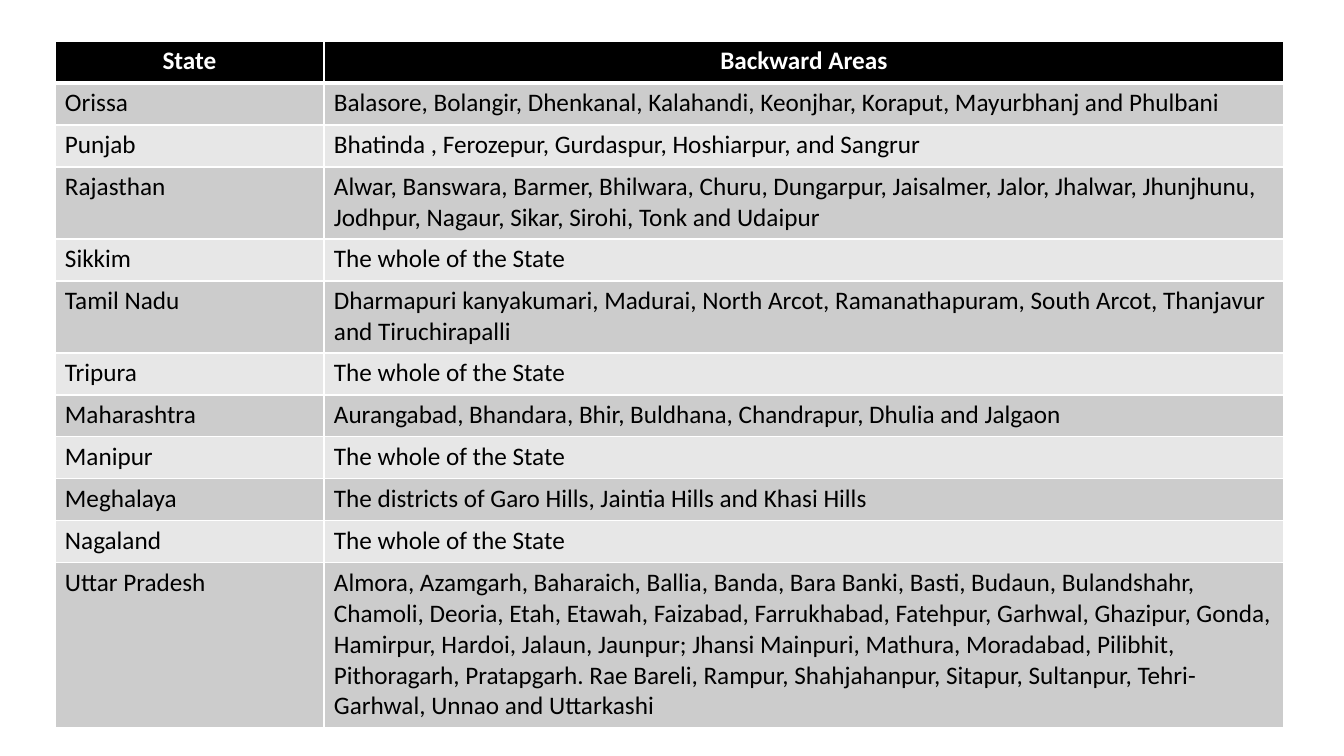
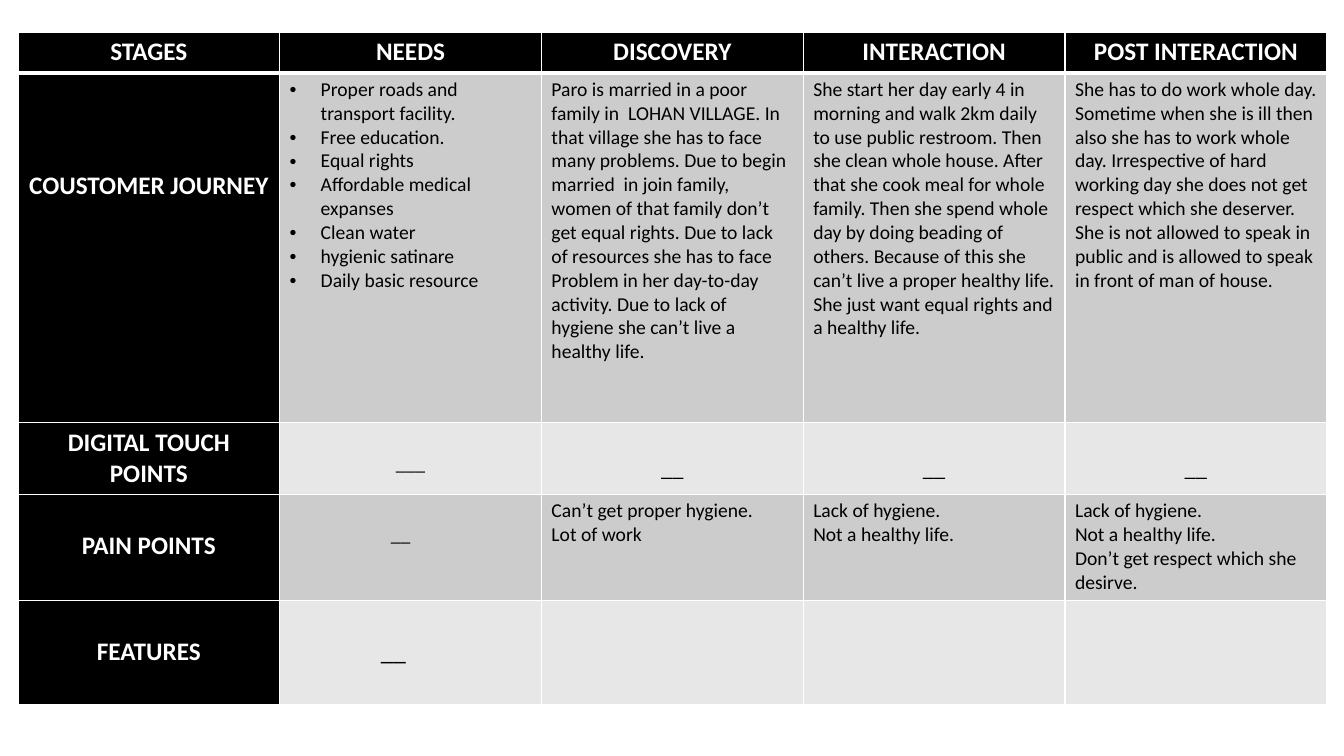
import pptx
import pptx.dml.color
import pptx.enum.text
import pptx.oxml.ns
import pptx.util
from lxml import etree

FONT = "Calibri"
COLORS = {"head": "000000", "odd": "CCCCCC", "even": "E7E7E7",
          "line": "FFFFFF", "light": "FFFFFF", "dark": "000000"}
EMU_PER_PX = 914400 / 100.8
ALIGN = pptx.enum.text.PP_ALIGN


def px(n):
    return pptx.util.Emu(round(n * EMU_PER_PX))


def rgb(name):
    return pptx.dml.color.RGBColor.from_string(COLORS[name])


def sub(parent, tag, **attrs):
    el = etree.SubElement(parent, pptx.oxml.ns.qn(tag))
    for key, value in attrs.items():
        el.set(key, str(value))
    return el


def put_text(cell, text, size=18, color="dark", bold=False, align=ALIGN.LEFT,
             top=5, left=10, bullet=False):
    """Write each line of text as one paragraph of the cell."""
    cell.margin_top, cell.margin_left = px(top), px(left)
    tf = cell.text_frame
    for i, line in enumerate(text.split("\n")):
        p = tf.paragraphs[0] if i == 0 else tf.add_paragraph()
        p.alignment = align
        if bullet:
            pPr = p._p.get_or_add_pPr()
            pPr.set("marL", str(px(31)))
            pPr.set("indent", str(-px(31)))
            sub(pPr, "a:buFont", typeface="Arial")
            sub(pPr, "a:buChar", char="•")
        r = p.add_run()
        r.text = line
        r.font.name, r.font.size, r.font.bold = FONT, pptx.util.Pt(size), bold
        r.font.color.rgb = rgb(color)


def put_head(cell, text, **fmt):
    put_text(cell, text, color="light", bold=True, align=ALIGN.CENTER, **fmt)


def style_cell(cell, fill, top=1, bottom=1):
    tcPr = cell._tc.get_or_add_tcPr()
    for side, width in (("L", 1), ("R", 1), ("T", top), ("B", bottom)):
        ln = sub(tcPr, "a:ln" + side, w=pptx.util.Pt(width))
        sub(sub(ln, "a:solidFill"), "a:srgbClr", val=COLORS["line"])
    cell.fill.solid()
    cell.fill.fore_color.rgb = rgb(fill)


def add_grid(s, x, y, cols, rows, heads, head_col=False):
    """Draw the banded table with its header row; return the table."""
    tbl = s.shapes.add_table(len(rows), len(cols), px(x), px(y),
                             px(sum(cols)), px(sum(rows))).table
    tbl.first_row = tbl.horz_banding = False
    for c, width in enumerate(cols):
        tbl.columns[c].width = px(width)
    for r, height in enumerate(rows):
        tbl.rows[r].height = px(height)
        for c in range(len(cols)):
            is_head = r == 0 or (head_col and c == 0)
            fill = "head" if is_head else "odd" if r % 2 else "even"
            style_cell(tbl.cell(r, c), fill, top=3 if r == 1 else 1,
                       bottom=3 if r == 0 else 1)
    for c, head in enumerate(heads):
        put_head(tbl.cell(0, c), head)
    return tbl


# Backward areas by state: state, districts, lines of text
WHOLE = "The whole of the State"
AREAS = [
    ("Orissa", "Balasore, Bolangir, Dhenkanal, Kalahandi, Keonjhar, Koraput, "
     "Mayurbhanj and Phulbani", 1),
    ("Punjab", "Bhatinda , Ferozepur, Gurdaspur, Hoshiarpur, and Sangrur", 1),
    ("Rajasthan", "Alwar, Banswara, Barmer, Bhilwara, Churu, Dungarpur, "
     "Jaisalmer, Jalor, Jhalwar, Jhunjhunu, Jodhpur, Nagaur, Sikar, Sirohi, "
     "Tonk and Udaipur", 2),
    ("Sikkim", WHOLE, 1),
    ("Tamil Nadu", "Dharmapuri kanyakumari, Madurai, North Arcot, "
     "Ramanathapuram, South Arcot, Thanjavur and Tiruchirapalli", 2),
    ("Tripura", WHOLE, 1),
    ("Maharashtra", "Aurangabad, Bhandara, Bhir, Buldhana, Chandrapur, "
     "Dhulia and Jalgaon", 1),
    ("Manipur", WHOLE, 1),
    ("Meghalaya", "The districts of Garo Hills, Jaintia Hills and Khasi Hills", 1),
    ("Nagaland", WHOLE, 1),
    ("Uttar Pradesh", "Almora, Azamgarh, Baharaich, Ballia, Banda, Bara Banki, "
     "Basti, Budaun, Bulandshahr, Chamoli, Deoria, Etah, Etawah, Faizabad, "
     "Farrukhabad, Fatehpur, Garhwal, Ghazipur, Gonda, Hamirpur, Hardoi, "
     "Jalaun, Jaunpur; Jhansi Mainpuri, Mathura, Moradabad, Pilibhit, "
     "Pithoragarh, Pratapgarh. Rae Bareli, Rampur, Shahjahanpur, Sitapur, "
     "Sultanpur, Tehri-Garhwal, Unnao and Uttarkashi", 5),
]

# Customer journey: (row head, top margin), then (text, format) per stage
STAGES = ["STAGES", "NEEDS", "DISCOVERY", "INTERACTION", "POST INTERACTION"]
BODY = {"size": 14}
DASH = ("__", {"size": 16, "top": 32, "align": ALIGN.CENTER})
JOURNEY = [
    (("COUSTOMER JOURNEY", 98), [
        ("Proper roads and transport facility.\nFree education.\nEqual rights\n"
         "Affordable medical expanses\nClean water\nhygienic satinare\n"
         "Daily basic resource", {"size": 14, "bullet": True}),
        ("Paro is married in a poor family in  LOHAN VILLAGE. In that village "
         "she has to face many problems. Due to begin married  in join family, "
         "women of that family don’t get equal rights. Due to lack of "
         "resources she has to face\nProblem in her day-to-day activity. Due "
         "to lack of hygiene she can’t live a healthy life.", BODY),
        ("She start her day early 4 in morning and walk 2km daily to use public "
         "restroom. Then she clean whole house. After that she cook meal for "
         "whole family. Then she spend whole day by doing beading of others. "
         "Because of this she can’t live a proper healthy life.\nShe just want "
         "equal rights and a healthy life.", BODY),
        ("She has to do work whole day. Sometime when she is ill then also she "
         "has to work whole day. Irrespective of hard working day she does not "
         "get respect which she deserver. She is not allowed to speak in public "
         "and is allowed to speak in front of man of house.", BODY)]),
    (("DIGITAL TOUCH POINTS", 5), [
        ("___", {"size": 14, "top": 29, "align": ALIGN.CENTER}),
        DASH, DASH, DASH]),
    (("PAIN POINTS", 36), [
        ("__", {"size": 14, "top": 29, "left": 111}),
        ("Can’t get proper hygiene.\nLot of work", BODY),
        ("Lack of hygiene.\nNot a healthy life.", BODY),
        ("Lack of hygiene.\nNot a healthy life.\n"
         "Don’t get respect which she desirve.", BODY)]),
    (("FEATURES", 36), [("__", {"top": 36, "left": 101})]),
]


def areas_slide(s, x, y):
    heights = {1: 42, 2: 72, 5: 165}
    rows = [42] + [heights[lines] for _, _, lines in AREAS]
    tbl = add_grid(s, x, y, [269, 960], rows, ["State", "Backward Areas"])
    for r, (state, districts, _) in enumerate(AREAS, 1):
        put_text(tbl.cell(r, 0), state)
        put_text(tbl.cell(r, 1), districts)


def journey_slide(s, x, y, w):
    cols = [w / len(STAGES)] * len(STAGES)
    tbl = add_grid(s, x, y, cols, [40, 350, 71, 106, 104], STAGES, head_col=True)
    for r, ((head, top), cells) in enumerate(JOURNEY, 1):
        put_head(tbl.cell(r, 0), head, top=top)
        for c, (text, fmt) in enumerate(cells, 1):
            put_text(tbl.cell(r, c), text, **fmt)


def main():
    prs = pptx.Presentation()
    prs.slide_width, prs.slide_height = px(1344), px(756)
    blank = prs.slide_layouts[6]
    areas_slide(prs.slides.add_slide(blank), 55, 41)
    journey_slide(prs.slides.add_slide(blank), 18, 32, 1309)
    prs.save("out.pptx")


if __name__ == "__main__":
    main()
